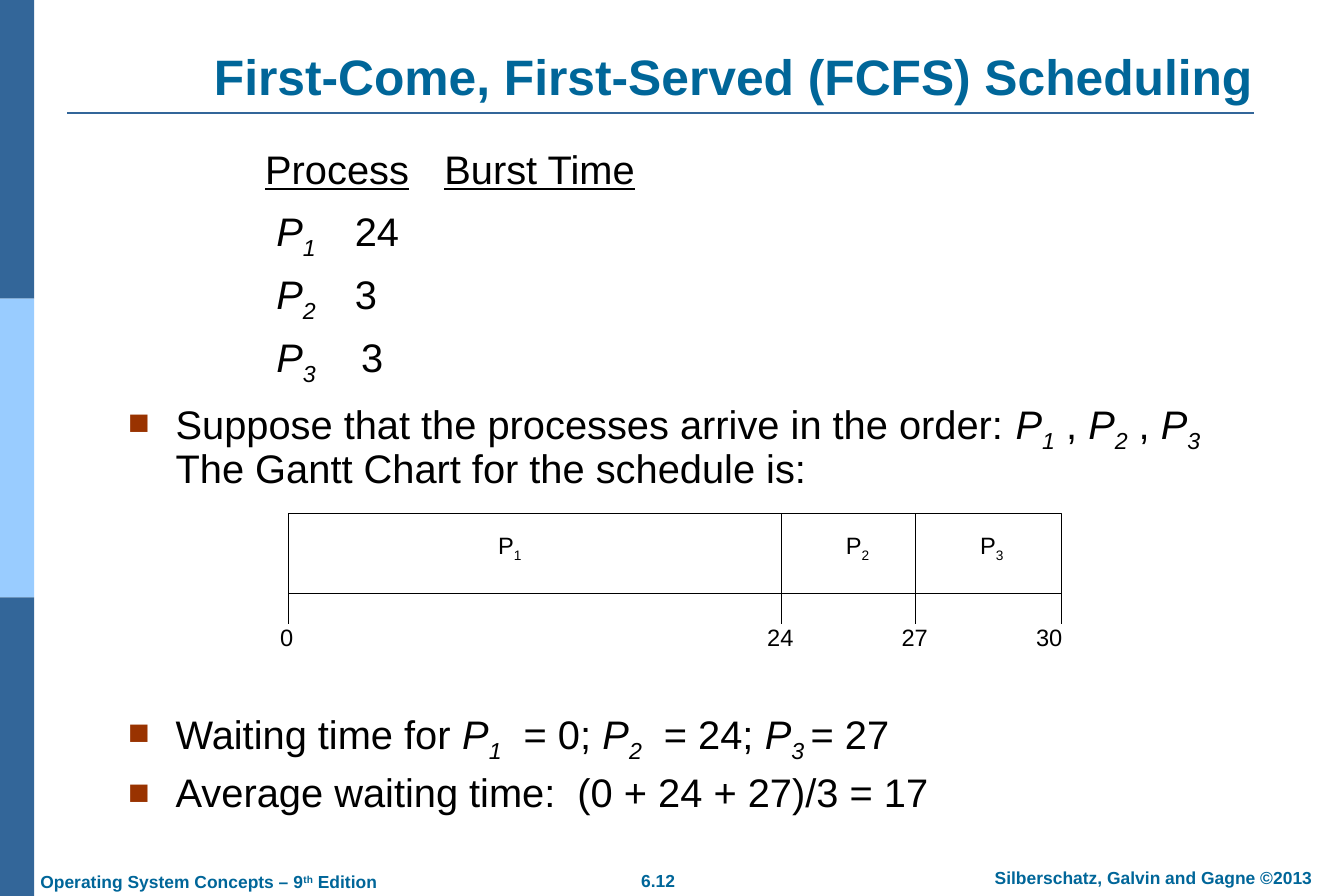
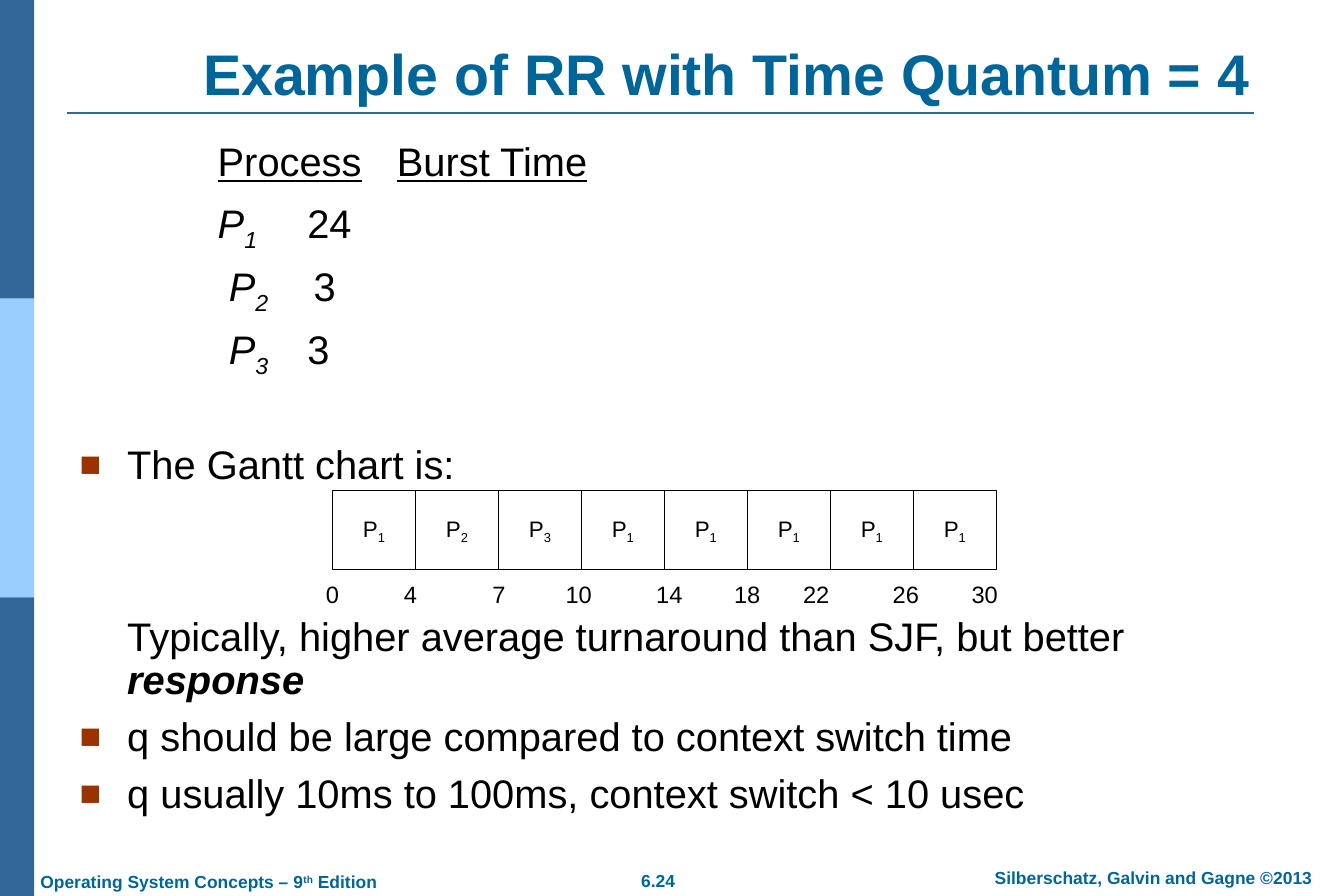
from dataclasses import dataclass

from lxml.etree import SubElement
from pptx import Presentation
from pptx.dml.color import RGBColor
from pptx.enum.shapes import MSO_CONNECTOR, MSO_SHAPE
from pptx.enum.text import MSO_ANCHOR as ANCHOR, PP_ALIGN as ALIGN
from pptx.oxml.ns import qn
from pptx.util import Inches, Pt


@dataclass(frozen=True)
class Theme:
    font: str = "Arial"
    heading: str = "006699"
    band: str = "336699"
    band_light: str = "99CCFF"
    bullet: str = "993300"
    ink: str = "000000"
    paper: str = "FFFFFF"
    body_size: int = 32
    chart_size: int = 19
    cell_size: int = 18
    footer_size: int = 14


THEME = Theme()
PADDING = (0.14, 0.07)
NO_PADDING = (0, 0)
SUB, SUPER = -25000, 30000


def rgb(value):
    return RGBColor.from_string(value)


def add_text(p, text, size=THEME.body_size, color=THEME.ink, bold=False,
             italic=False, underline=False, baseline=0):
    r = p.add_run()
    r.text = text
    font = r.font
    font.name, font.size, font.color.rgb = THEME.font, Pt(size), rgb(color)
    font.bold, font.italic, font.underline = bold, italic, underline
    if baseline:
        r._r.get_or_add_rPr().set("baseline", str(baseline))


def process(number, italic=True):
    """Runs for a process name such as P with a lowered number."""
    return [("P", dict(italic=italic)),
            (str(number), dict(italic=italic, baseline=SUB))]


def add_runs(p, runs, **style):
    """Fill a paragraph; a run is a string or (string, format), and a newline breaks the line."""
    for run in runs:
        text, fmt = (run, {}) if isinstance(run, str) else run
        if text == "\n":
            p.add_line_break()
        else:
            add_text(p, text, **{**style, **fmt})


class Deck:
    def __init__(self, theme):
        self.theme = theme
        self.prs = Presentation()
        self.prs.slide_width, self.prs.slide_height = Inches(15), Inches(10)
        self.s = None

    def slide(self, number):
        """Start a slide with the side bands, title rule and footers."""
        t = self.theme
        self.s = self.prs.slides.add_slide(self.prs.slide_layouts[6])
        for i, fill in enumerate((t.band, t.band_light, t.band)):
            self.rect(0, i * 10 / 3, 0.38, 10 / 3, fill)
        self.line(0.75, 1.26, 14, 1.26, t.band, 1.5)
        style = dict(size=t.footer_size, color=t.heading, bold=True)
        self.text(7, 9.64, 0.69, 0.38, [number], wrap=False, **style)
        self.text(10.65, 9.61, 4.45, 0.38,
                  ["Silberschatz, Galvin and Gagne ©2013"], **style)
        self.text(0.31, 9.65, 4.09, 0.38,
                  ["Operating System Concepts – 9",
                   ("th", dict(baseline=SUPER)), " Edition"],
                  align=ALIGN.LEFT, wrap=False, **style)

    def rect(self, x, y, w, h, fill, line=None):
        sp = self.s.shapes.add_shape(MSO_SHAPE.RECTANGLE, Inches(x), Inches(y),
                                     Inches(w), Inches(h))
        sp.shadow.inherit = False
        sp.fill.solid()
        sp.fill.fore_color.rgb = rgb(fill)
        if line:
            sp.line.color.rgb, sp.line.width = rgb(line), Pt(0.75)
        else:
            sp.line.fill.background()
        return sp

    def line(self, x1, y1, x2, y2, color, width=0.75):
        cn = self.s.shapes.add_connector(MSO_CONNECTOR.STRAIGHT, Inches(x1),
                                         Inches(y1), Inches(x2), Inches(y2))
        cn.line.color.rgb, cn.line.width = rgb(color), Pt(width)
        SubElement(cn._element.spPr, qn("a:effectLst"))

    def frame(self, tf, padding=PADDING, anchor=ANCHOR.TOP, wrap=True):
        tf.margin_left = tf.margin_right = Inches(padding[0])
        tf.margin_top = tf.margin_bottom = Inches(padding[1])
        tf.vertical_anchor, tf.word_wrap = anchor, wrap
        return tf

    def box(self, x, y, w, h, **layout):
        sp = self.s.shapes.add_textbox(Inches(x), Inches(y), Inches(w), Inches(h))
        return self.frame(sp.text_frame, **layout)

    def text(self, x, y, w, h, runs, align=ALIGN.CENTER, padding=PADDING,
             anchor=ANCHOR.TOP, wrap=True, **style):
        p = self.box(x, y, w, h, padding=padding, anchor=anchor,
                     wrap=wrap).paragraphs[0]
        p.alignment = align
        add_runs(p, runs, **style)

    def title(self, text, size, x, y, w, h):
        self.text(x, y, w, h, [text], anchor=ANCHOR.BOTTOM, size=size,
                  color=self.theme.heading, bold=True)

    def paragraphs(self, tf, items):
        """Fill a frame with spaced paragraphs and yield each one."""
        for i, runs in enumerate(items):
            p = tf.add_paragraph() if i else tf.paragraphs[0]
            p.line_spacing = 0.9
            p.space_before = Pt(11.2 if i else 0)
            add_runs(p, runs)
            yield p

    def burst_times(self, x, y, rows):
        """Process list in two columns, with the heads underlined."""
        head = [("Process", dict(underline=True)), "\t",
                ("Burst Time", dict(underline=True))]
        tf = self.box(x, y, 5.5, 2.8)
        for p in self.paragraphs(tf, [head, *rows]):
            tabs = SubElement(p._p.get_or_add_pPr(), qn("a:tabLst"))
            for inch in (1, 2):
                SubElement(tabs, qn("a:tab"), pos=str(Inches(inch)), algn="l")

    def bullets(self, x, y, w, h, items, plain=()):
        """Bulleted paragraphs; the indexes in plain are only indented."""
        tf = self.box(x, y, w, h)
        for i, p in enumerate(self.paragraphs(tf, items)):
            pPr = p._p.get_or_add_pPr()
            pPr.set("marL", str(Inches(0.53)))
            if i in plain:
                pPr.set("indent", "0")
                continue
            pPr.set("indent", str(-Inches(0.53)))
            color = SubElement(pPr, qn("a:buClr"))
            SubElement(color, qn("a:srgbClr"), val=self.theme.bullet)
            SubElement(pPr, qn("a:buSzPct"), val="90000")
            SubElement(pPr, qn("a:buFont"), typeface=self.theme.font)
            SubElement(pPr, qn("a:buChar"), char="■")

    def chart_label(self, center, y, runs):
        self.text(center - 0.3, y, 0.6, 0.42, runs, padding=NO_PADDING,
                  anchor=ANCHOR.MIDDLE, wrap=False, size=self.theme.chart_size)

    def times(self, y, labels):
        for time, center in labels.items():
            self.chart_label(center, y, [str(time)])

    def gantt_bar(self, y, edges, labels):
        """One bar cut at the edges, with a tick below each edge."""
        t, h = self.theme, 0.89
        self.rect(edges[0], y, edges[-1] - edges[0], h, t.paper, t.ink)
        for x in edges:
            top = y + h if x in (edges[0], edges[-1]) else y
            self.line(x, top, x, y + h + 0.34, t.ink)
        for number, center in labels.items():
            self.chart_label(center, y + 0.17, process(number, italic=False))

    def gantt_cells(self, x, y, w, numbers):
        """A row of equal cells, one for each time slice."""
        t, step = self.theme, w / len(numbers)
        for i, number in enumerate(numbers):
            sp = self.rect(x + i * step, y, step, 0.89, t.paper, t.ink)
            tf = self.frame(sp.text_frame, NO_PADDING, ANCHOR.MIDDLE, False)
            p = tf.paragraphs[0]
            p.alignment = ALIGN.CENTER
            add_runs(p, process(number, italic=False), size=t.cell_size)


def fcfs_slide(deck):
    deck.slide("6.12")
    deck.title("First-Come, First-Served (FCFS) Scheduling", 40,
               1.62, 0.58, 13.13, 0.67)
    deck.burst_times(2.82, 1.61, [
        [" ", *process(1), "\t24"],
        [" ", *process(2), "\t3"],
        [" ", *process(3), ("\t ", dict(baseline=SUB)), "3"],
    ])
    deck.bullets(1.29, 4.4, 12.41, 1.2, [
        ["Suppose that the processes arrive in the order: ", *process(1), " , ",
         *process(2), " , ", *process(3), "\n",
         "The Gantt Chart for the schedule is:"],
    ])
    deck.gantt_bar(5.73, (3.22, 8.72, 10.22, 11.85),
                   {1: 5.69, 2: 9.57, 3: 11.07})
    deck.times(6.9, {0: 3.2, 24: 8.71, 27: 10.21, 30: 11.71})
    deck.bullets(1.29, 7.86, 12.41, 1.3, [
        ["Waiting time for ", *process(1), "  = 0; ", *process(2), "  = 24; ",
         *process(3), (" ", dict(italic=True, baseline=SUB)), "= 27"],
        ["Average waiting time:  (0 + 24 + 27)/3 = 17"],
    ])


def round_robin_slide(deck):
    deck.slide("6.24")
    deck.title("Example of RR with Time Quantum = 4", 46, 1.5, 0.03, 13.21, 1.23)
    deck.burst_times(2.29, 1.52, [
        [*process(1), "\t24"],
        [" ", *process(2), ("\t ", dict(baseline=SUB)), "3"],
        [" ", *process(3), "\t3"],
    ])
    deck.bullets(0.75, 4.9, 13.26, 0.6, [["The Gantt chart is:"]])
    deck.gantt_cells(3.71, 5.47, 7.41, (1, 2, 3, 1, 1, 1, 1, 1))
    deck.times(6.42, {0: 3.71, 4: 4.58, 7: 5.57, 10: 6.46, 14: 7.47,
                      18: 8.34, 22: 9.11, 26: 10.11, 30: 10.99})
    deck.bullets(0.75, 6.82, 13.26, 2.4, [
        ["Typically, higher average turnaround than SJF, but better ",
         ("response", dict(bold=True, italic=True))],
        ["q should be large compared to context switch time"],
        ["q usually 10ms to 100ms, context switch < 10 usec"],
    ], plain=(0,))


def main():
    deck = Deck(THEME)
    fcfs_slide(deck)
    round_robin_slide(deck)
    deck.prs.save("out.pptx")


if __name__ == "__main__":
    main()
